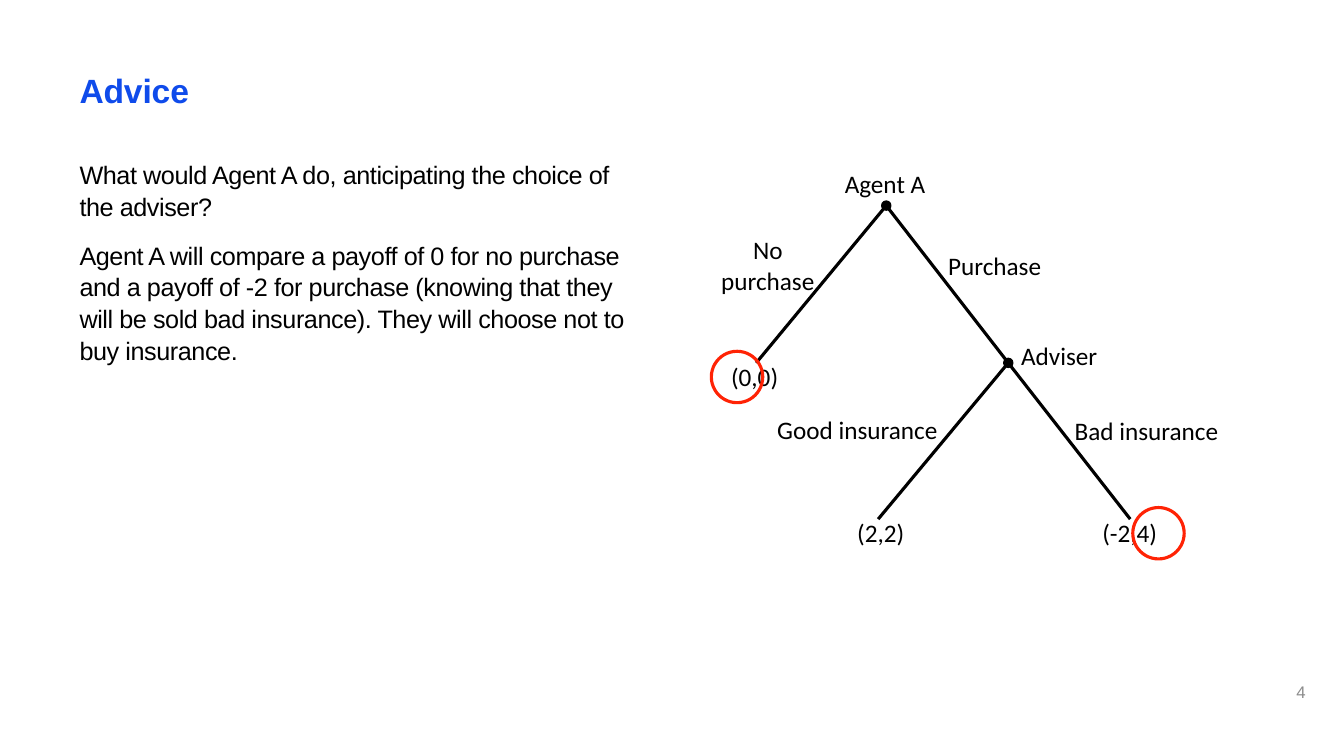
from pptx import Presentation
from pptx.util import Inches, Pt
from pptx.dml.color import RGBColor
from pptx.enum.shapes import MSO_CONNECTOR, MSO_SHAPE
from pptx.enum.text import MSO_ANCHOR, MSO_AUTO_SIZE, PP_ALIGN
from pptx.oxml.ns import qn
from lxml import etree

COLORS = {"title": "0F4BEB", "text": "000000", "number": "8C8C8C", "ring": "FF2305"}
TITLE = "Advice"
BODY = [
    "What would Agent A do, anticipating the choice of the adviser?",
    "Agent A will compare a payoff of 0 for no purchase and a payoff of -2 for purchase "
    "(knowing that they will be sold bad insurance). They will choose not to buy insurance.",
]
NUMBER = "4"

AGENT, ADVISER = (8.79, 2.04), (10, 3.6)
BRANCHES = [
    (AGENT, (7.5, 3.6)),
    (AGENT, ADVISER),
    (ADVISER, (8.71, 5.15)),
    (ADVISER, (11.21, 5.15)),
]
WRAPPED = [
    ("No purchase", 7.04, 2.28, 0.71),
    ("(0,0)", 6.91, 3.54, 0.4),
    ("(-2,4)", 10.63, 5.08, 0.4),
    ("(2,2)", 8.16, 5.08, 0.4),
    ("Purchase", 9.29, 2.43, 0.4),
]
UNWRAPPED = [
    ("Agent A", 8.28, 1.62, 1.01),
    ("Adviser", 10.03, 3.33, 0.96),
    ("Bad insurance", 10.56, 4.07, 1.64),
    ("Good insurance", 7.61, 4.06, 1.81),
]
RINGS = [(11.49, 5.29), (7.31, 3.74)]
DOT, RING = 0.09, 0.51

prs = Presentation()
prs.slide_width, prs.slide_height = Inches(13.33), Inches(7.5)
s = prs.slides.add_slide(prs.slide_layouts[6])


def rgb(name):
    return RGBColor.from_string(COLORS[name])


def add_text(paras, x, y, w, h, font="Arial", size=18, color="text", bold=False,
             align=PP_ALIGN.LEFT, anchor=MSO_ANCHOR.TOP, wrap=True, grow=False,
             line=None, after=None, spc=None):
    tf = s.shapes.add_textbox(Inches(x), Inches(y), Inches(w), Inches(h)).text_frame
    tf.word_wrap = wrap
    tf.vertical_anchor = anchor
    tf.auto_size = MSO_AUTO_SIZE.SHAPE_TO_FIT_TEXT if grow else MSO_AUTO_SIZE.NONE
    for i, text in enumerate(paras):
        p = tf.paragraphs[0] if i == 0 else tf.add_paragraph()
        p.alignment, p.line_spacing = align, line
        if after:
            p.space_after = Pt(after)
        r = p.add_run()
        r.text = text
        f = p.font
        f.name, f.size, f.bold = font, Pt(size), bold
        f.color.rgb = rgb(color)
        if spc:
            r.font._element.set("spc", str(spc))


def add_circle(center, d, color, width, filled):
    x, y = center
    sp = s.shapes.add_shape(MSO_SHAPE.OVAL, Inches(x - d / 2), Inches(y - d / 2),
                            Inches(d), Inches(d))
    sp.shadow.inherit = False
    if filled:
        sp.fill.solid()
        sp.fill.fore_color.rgb = rgb(color)
    else:
        sp.fill.background()
    sp.line.color.rgb = rgb(color)
    sp.line.width = Pt(width)


add_text([NUMBER], 10.05, 6.66, 3, 0.4, size=12, color="number",
         align=PP_ALIGN.RIGHT, anchor=MSO_ANCHOR.MIDDLE)
add_text([TITLE], 0.69, 0.64, 11.29, 0.51, size=24, color="title", bold=True,
         anchor=MSO_ANCHOR.BOTTOM, line=0.9, spc=-10)
add_text(BODY, 0.69, 1.52, 5.65, 4.46, line=1.05, after=12, spc=-30)

for start, end in BRANCHES:
    c = s.shapes.add_connector(MSO_CONNECTOR.STRAIGHT, *(Inches(v) for v in start + end))
    c.line.color.rgb = rgb("text")
    c.line.width = Pt(2.25)
    etree.SubElement(c._element.spPr, qn("a:effectLst"))

for node in (AGENT, ADVISER):
    add_circle(node, DOT, "text", 1, True)
for text, x, y, h in WRAPPED:
    add_text([text], x, y, 1.15, h, font="Calibri", align=PP_ALIGN.CENTER, grow=True)
for text, x, y, w in UNWRAPPED:
    add_text([text], x, y, w, 0.4, font="Calibri", wrap=False, grow=True)
for center in RINGS:
    add_circle(center, RING, "ring", 2.25, False)

prs.save("out.pptx")
